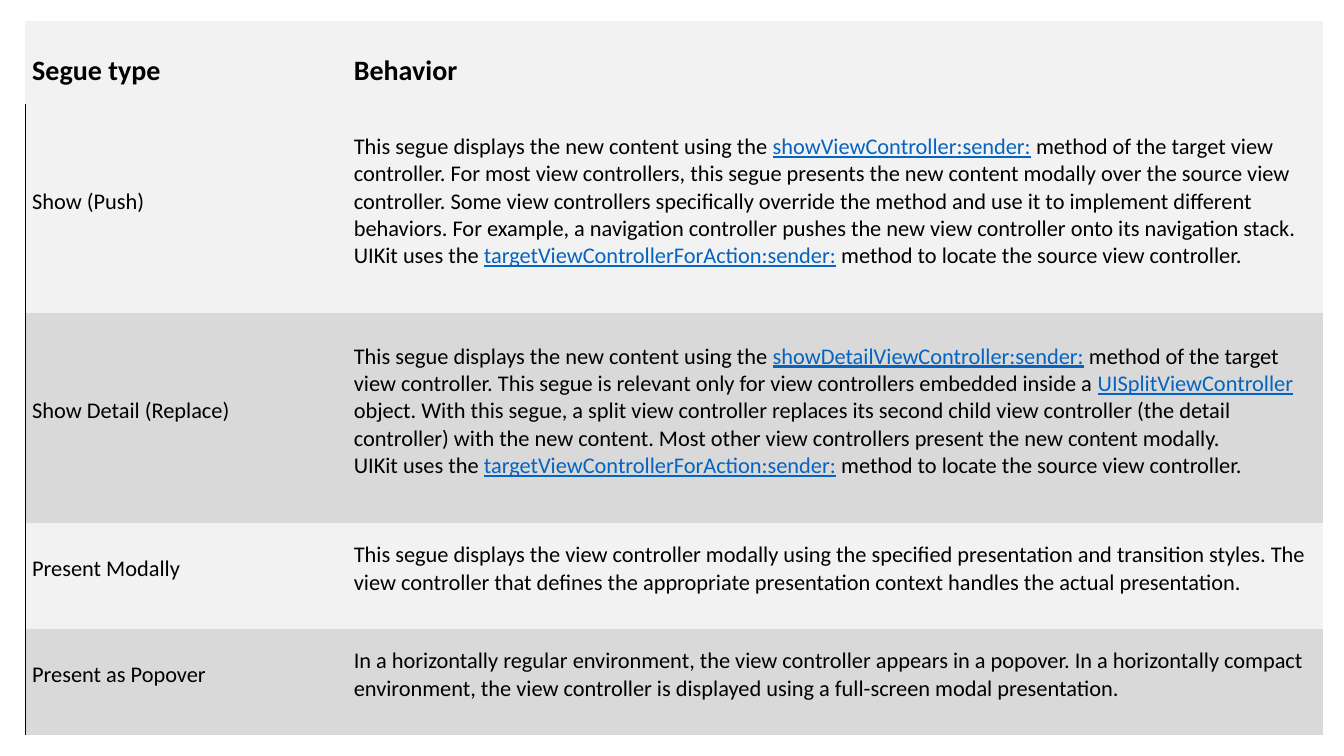
from dataclasses import dataclass

from lxml import etree
from pptx import Presentation
from pptx.dml.color import RGBColor
from pptx.enum.text import MSO_ANCHOR
from pptx.oxml.ns import qn
from pptx.table import _Cell
from pptx.text.text import Font, _Paragraph
from pptx.util import Inches, Pt

BOTTOM = MSO_ANCHOR.BOTTOM
MIDDLE = MSO_ANCHOR.MIDDLE

FONT_NAME = "Calibri"
BLACK = "000000"
LINK_BLUE = "0563C1"
LIGHT_GRAY = "F2F2F2"
MID_GRAY = "D9D9D9"

COLUMN_WIDTHS = (3.19, 9.68)
LINK_MARK = "|"
LOCATE_SOURCE = (
    "UIKit uses the |targetViewControllerForAction:sender:|"
    " method to locate the source view controller."
)


@dataclass(frozen=True)
class SegueRow:
    """One table row; the parts of a text between two link marks are links."""
    segue_type: str
    behavior: tuple[str, ...]
    height: float
    fill: str
    is_header: bool = False


ROWS = (
    SegueRow("Segue type", ("Behavior",), 0.82, LIGHT_GRAY, is_header=True),
    SegueRow(
        "Show (Push)",
        (
            "This segue displays the new content using the |showViewController:sender:|"
            " method of the target view controller. For most view controllers, this segue"
            " presents the new content modally over the source view controller. Some view"
            " controllers specifically override the method and use it to implement different"
            " behaviors. For example, a navigation controller pushes the new view controller"
            " onto its navigation stack.",
            LOCATE_SOURCE,
        ),
        2.08, LIGHT_GRAY,
    ),
    SegueRow(
        "Show Detail (Replace)",
        (
            "This segue displays the new content using the |showDetailViewController:sender:|"
            " method of the target view controller. This segue is relevant only for view"
            " controllers embedded inside a |UISplitViewController| object. With this segue,"
            " a split view controller replaces its second child view controller (the detail"
            " controller) with the new content. Most other view controllers present the new"
            " content modally.",
            LOCATE_SOURCE,
        ),
        2.08, MID_GRAY,
    ),
    SegueRow(
        "Present Modally",
        (
            "This segue displays the view controller modally using the specified presentation"
            " and transition styles. The view controller that defines the appropriate"
            " presentation context handles the actual presentation.",
        ),
        1.05, LIGHT_GRAY,
    ),
    SegueRow(
        "Present as Popover",
        (
            "In a horizontally regular environment, the view controller appears in a popover."
            " In a horizontally compact environment, the view controller is displayed using a"
            " full-screen modal presentation.",
        ),
        1.05, MID_GRAY,
    ),
)


def color(hex_value: str) -> RGBColor:
    return RGBColor.from_string(hex_value)


def format_font(font: Font, is_header: bool) -> None:
    font.name = FONT_NAME
    font.size = Pt(20 if is_header else 16)
    font.bold = is_header
    font.color.rgb = color(BLACK)


def add_linked_text(paragraph: _Paragraph, text: str) -> None:
    """Add runs, with every second part styled as a link."""
    for index, part in enumerate(text.split(LINK_MARK)):
        run = paragraph.add_run()
        run.text = part
        if index % 2:
            run.font.color.rgb = color(LINK_BLUE)
            run.font.underline = True


def set_borders(cell: _Cell, has_left_line: bool) -> None:
    """Hide all borders except, if wanted, a thin black one on the left."""
    properties = cell._tc.get_or_add_tcPr()
    for side in ("lnL", "lnR", "lnT", "lnB"):
        line = etree.SubElement(properties, qn(f"a:{side}"), w=str(Pt(1)))
        if side == "lnL" and has_left_line:
            fill = etree.SubElement(line, qn("a:solidFill"))
            etree.SubElement(fill, qn("a:srgbClr"), val=BLACK)
        else:
            etree.SubElement(line, qn("a:noFill"))


def fill_cell(cell: _Cell, texts: tuple[str, ...], row: SegueRow, has_left_line: bool) -> None:
    set_borders(cell, has_left_line)
    cell.fill.solid()
    cell.fill.fore_color.rgb = color(row.fill)
    cell.vertical_anchor = BOTTOM if row.is_header else MIDDLE
    cell.margin_left = Inches(0.07)
    cell.margin_right = Inches(0.03 if row.is_header else 0.07)
    cell.margin_top = Inches(0.02)
    cell.margin_bottom = Inches(0.16)
    frame = cell.text_frame
    for index, text in enumerate(texts):
        paragraph = frame.add_paragraph() if index else frame.paragraphs[0]
        format_font(paragraph.font, row.is_header)
        add_linked_text(paragraph, text)


def main() -> None:
    presentation = Presentation()
    presentation.slide_width = Inches(13.33)
    presentation.slide_height = Inches(7.5)
    slide = presentation.slides.add_slide(presentation.slide_layouts[6])

    table = slide.shapes.add_table(
        len(ROWS), len(COLUMN_WIDTHS), Inches(0.25), Inches(0.21),
        Inches(sum(COLUMN_WIDTHS)), Inches(sum(row.height for row in ROWS)),
    ).table
    table.first_row = False
    table.horz_banding = False
    for column, width in zip(table.columns, COLUMN_WIDTHS):
        column.width = Inches(width)
    for index, row in enumerate(ROWS):
        table.rows[index].height = Inches(row.height)
        fill_cell(table.cell(index, 0), (row.segue_type,), row, not row.is_header)
        fill_cell(table.cell(index, 1), row.behavior, row, False)

    presentation.save("out.pptx")


if __name__ == "__main__":
    main()
